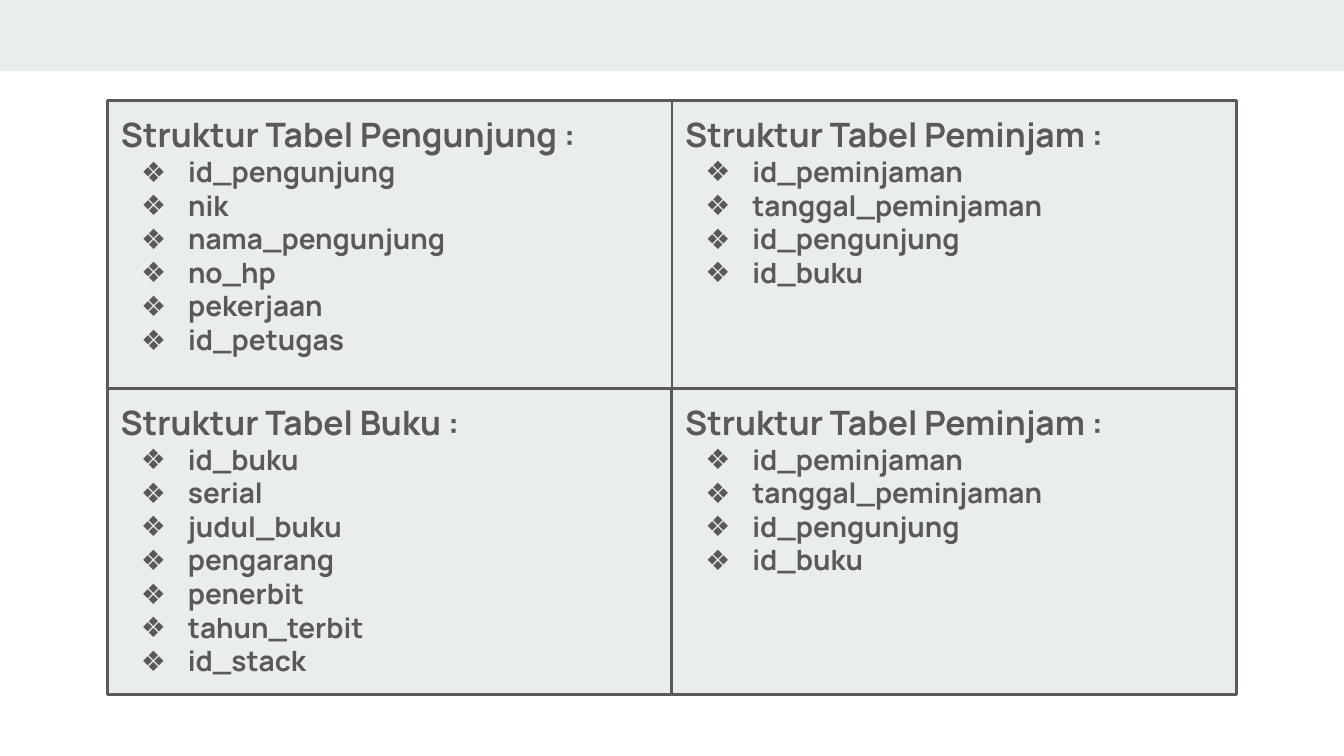
from lxml import etree
from pptx import Presentation
from pptx.dml.color import RGBColor
from pptx.enum.shapes import MSO_SHAPE
from pptx.enum.text import MSO_ANCHOR, MSO_AUTO_SIZE, PP_ALIGN
from pptx.oxml.ns import qn
from pptx.util import Inches, Pt

RECT = MSO_SHAPE.RECTANGLE
TOP = MSO_ANCHOR.TOP
LEFT = PP_ALIGN.LEFT
FIXED = MSO_AUTO_SIZE.NONE

PALE = RGBColor(0xE9, 0xED, 0xEE)
GREY = RGBColor(0x59, 0x59, 0x59)
FONT = "Manrope"

LOAN = ("Struktur Tabel Peminjam :",
        ["id_peminjaman", "tanggal_peminjaman", "id_pengunjung", "id_buku"])
GUEST = ("Struktur Tabel Pengunjung :",
         ["id_pengunjung", "nik", "nama_pengunjung", "no_hp", "pekerjaan",
          "id_petugas"])
BOOK = ("Struktur Tabel Buku :",
        ["id_buku", "serial", "judul_buku", "pengarang", "penerbit",
         "tahun_terbit", "id_stack"])
GRID = [[GUEST, LOAN], [BOOK, LOAN]]

X, Y, WIDTH = 0.8, 0.75, 4.2
HEIGHTS = [2.14, 2.28]


def add_bullet(para):
    props = para._p.get_or_add_pPr()
    props.set("marL", str(Inches(0.5)))
    props.set("indent", str(Inches(-0.35)))
    color = etree.SubElement(props, qn("a:buClr"))
    etree.SubElement(color, qn("a:srgbClr"), val=str(GREY))
    etree.SubElement(props, qn("a:buFont"), typeface=FONT)
    etree.SubElement(props, qn("a:buChar"), char="❖")


def fill_panel(panel, head, fields):
    panel.fill.solid()
    panel.fill.fore_color.rgb = PALE
    panel.line.color.rgb = GREY
    panel.line.width = Pt(1.5)
    frame = panel.text_frame
    frame.text = "\n".join([head] + fields)
    frame.word_wrap = True
    frame.auto_size = FIXED
    frame.vertical_anchor = TOP
    frame.margin_left = frame.margin_right = Inches(0.1)
    frame.margin_top = frame.margin_bottom = Inches(0.1)
    for i, para in enumerate(frame.paragraphs):
        para.alignment = LEFT
        if i:
            add_bullet(para)
        font = para.runs[0].font
        font.name = FONT
        font.size = Pt(15 if i else 18)
        font.bold = True
        font.color.rgb = GREY


prs = Presentation()
prs.slide_width = Inches(10)
prs.slide_height = prs.slide_width * 9 // 16
slide = prs.slides.add_slide(prs.slide_layouts[5])
shapes = slide.shapes

band = shapes.add_shape(RECT, 0, 0, prs.slide_width, Inches(0.53))
band.shadow.inherit = False
band.fill.solid()
band.fill.fore_color.rgb = PALE
band.line.fill.background()

for r, row in enumerate(GRID):
    for c, (head, fields) in enumerate(row):
        box = [Inches(v) for v in (X + c * WIDTH, Y + sum(HEIGHTS[:r]),
                                   WIDTH, HEIGHTS[r])]
        if r == c == 0:
            panel = shapes.title
            panel.left, panel.top, panel.width, panel.height = box
        else:
            panel = shapes.add_textbox(*box)
        fill_panel(panel, head, fields)

prs.save("out.pptx")
